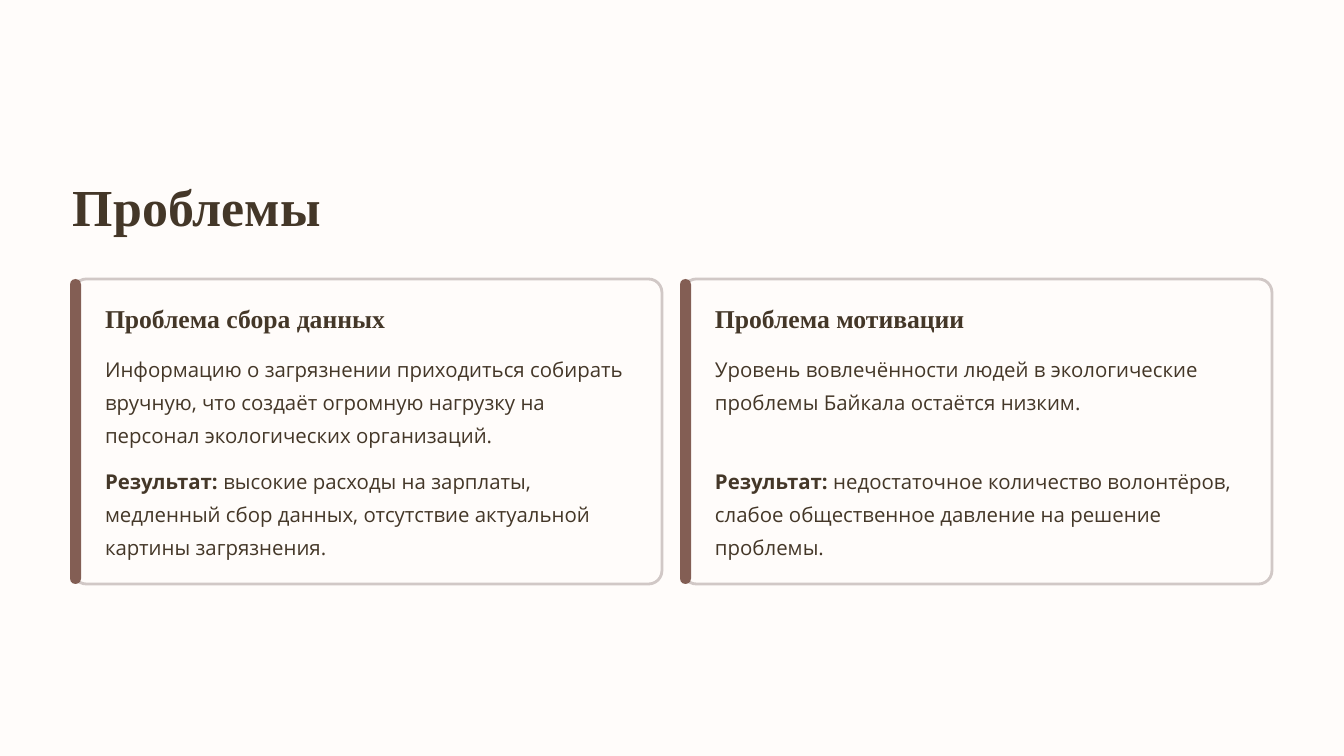
"""Builds a slide with two problem cards."""
from pptx import Presentation, util as u
from pptx.dml.color import RGBColor
from pptx.enum import shapes, text

PX = 914400 / 84
INK, PAPER, EDGE, BAR = "443728", "FFFCFA", "D1C8C6", "835E54"
SERIF, SANS = "Times New Roman", "Open Sans"


def paint(fill, color):
    fill.solid()
    fill.fore_color.rgb = RGBColor.from_string(color)


def write(shape, box, parts, size, font, lead, wrap=True):
    shape.left, shape.top, shape.width, shape.height = [round(v * PX) for v in box]
    frame = shape.text_frame
    frame.margin_left = frame.margin_top = frame.margin_right = frame.margin_bottom = 0
    frame.auto_size = text.MSO_AUTO_SIZE.NONE
    frame.vertical_anchor = text.MSO_ANCHOR.TOP
    frame.word_wrap = wrap
    para = frame.paragraphs[0]
    para.alignment = text.PP_ALIGN.LEFT
    para.line_spacing = u.Pt(lead)
    for words, bold in parts:
        run = para.add_run()
        run.text = words
        run.font.size, run.font.name, run.font.bold = u.Pt(size), font, bold
        paint(run.font.fill, INK)


deck = Presentation()
deck.slide_width, deck.slide_height = u.Inches(16), u.Inches(9)
slide = deck.slides.add_slide(deck.slide_layouts[5])
paint(slide.background.fill, PAPER)
write(slide.shapes.title, (73, 172, 521, 66), [("Проблемы", True)], 44.5, SERIF, 55.5, False)

cards = [
    ("Проблема сбора данных",
     "Информацию о загрязнении приходиться собирать вручную, что создаёт огромную "
     "нагрузку на персонал экологических организаций.",
     " высокие расходы на зарплаты, медленный сбор данных, отсутствие актуальной "
     "картины загрязнения."),
    ("Проблема мотивации",
     "Уровень вовлечённости людей в экологические проблемы Байкала остаётся низким.",
     " недостаточное количество волонтёров, слабое общественное давление на решение "
     "проблемы."),
]
for col, (head, body, result) in enumerate(cards):
    left = 70 + 610 * col
    for x, width, bend, color, line in [(left + 3, 589, 0.044, PAPER, EDGE),
                                        (left, 11, 0.5, BAR, None)]:
        box = [round(v * PX) for v in (x, 279, width, 305)]
        shape = slide.shapes.add_shape(shapes.MSO_SHAPE.ROUNDED_RECTANGLE, *box)
        shape.adjustments[0] = bend
        shape.shadow.inherit = False
        paint(shape.fill, color)
        if line:
            paint(shape.line.fill, line)
            shape.line.width = u.Pt(2.4)
        else:
            shape.line.fill.background()
    for top, width, height, parts, size, font, lead, wrap in [
        (302, 331, 33, [(head, True)], 22, SERIF, 27.5, False),
        (348, 533, 100, [(body, False)], 17.5, SANS, 28.5, True),
        (460, 533, 100, [("Результат:", True), (result, False)], 17.5, SANS, 28.5, True),
    ]:
        note = slide.shapes.add_textbox(0, 0, 0, 0)
        write(note, (left + 35, top, width, height), parts, size, font, lead, wrap)

deck.save("out.pptx")
